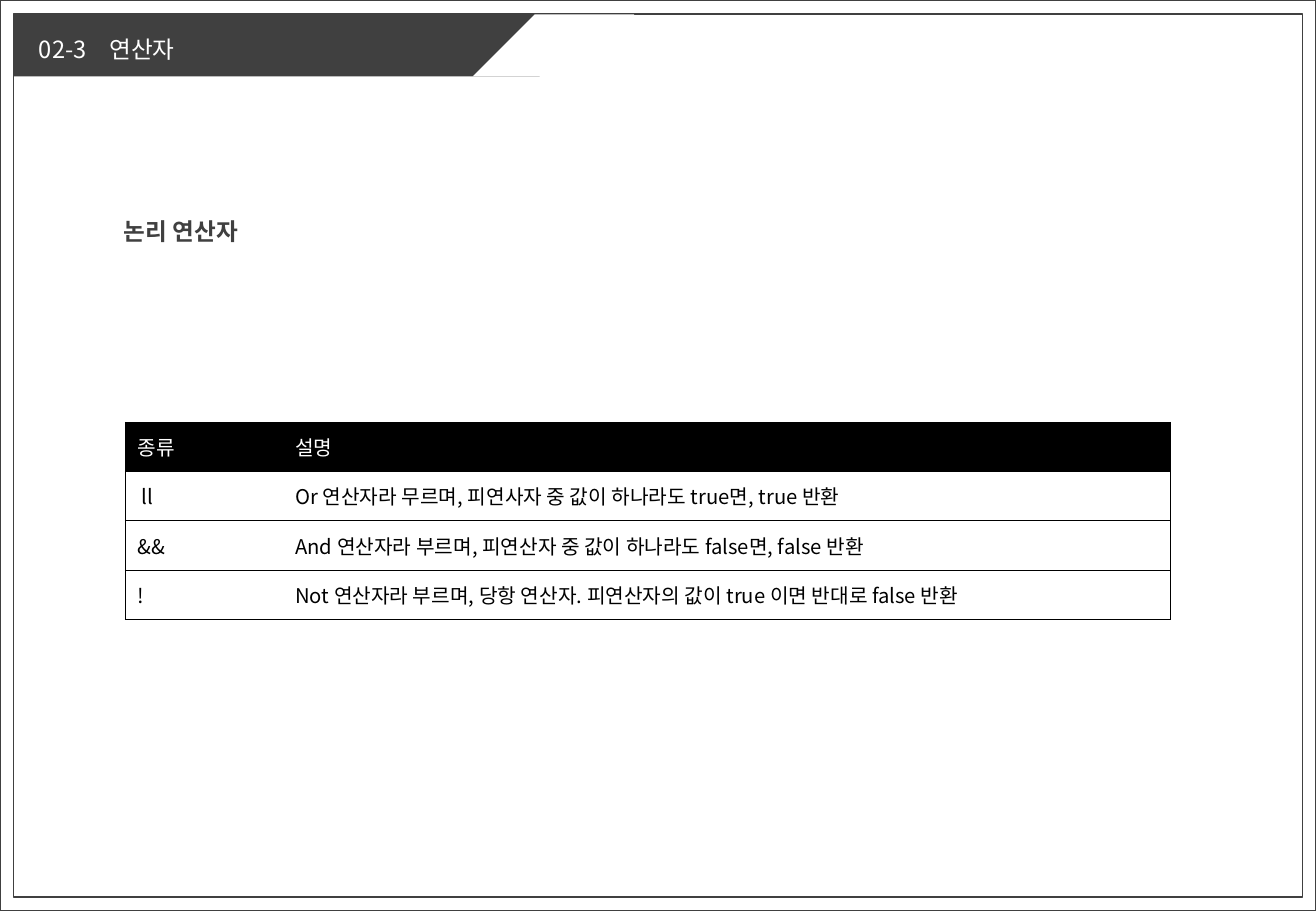
from dataclasses import dataclass
from typing import Any, Optional

import lxml.etree
import pptx
import pptx.dml.color
import pptx.enum.shapes
import pptx.enum.text
import pptx.oxml.ns
import pptx.util

Cm = pptx.util.Cm
Pt = pptx.util.Pt
qn = pptx.oxml.ns.qn
Shape = pptx.enum.shapes.MSO_SHAPE


@dataclass(frozen=True)
class Theme:
    font: str = "Noto Sans CJK KR"
    dark: str = "404040"
    black: str = "000000"
    white: str = "FFFFFF"
    title_size: int = 14
    table_size: int = 12
    frame_line: float = 1
    table_line: float = 0.5
    line_spacing: float = 1.5


@dataclass(frozen=True)
class Box:
    """A place on the slide, in centimetres."""
    left: float
    top: float
    width: float
    height: float

    def lengths(self) -> list[int]:
        return [Cm(v) for v in (self.left, self.top, self.width, self.height)]


@dataclass(frozen=True)
class Panel:
    box: Box
    fill: str
    line: Optional[str] = None
    kind: Any = Shape.RECTANGLE
    slant: Optional[float] = None


@dataclass(frozen=True)
class Label:
    text: str
    box: Box
    color: str
    bold: bool = False
    tab: Optional[float] = None


THEME = Theme()
WIDTH, HEIGHT = 27.51, 19.05
EDGE_X, EDGE_Y, BANNER_HEIGHT = 0.28, 0.3, 1.3

PANELS = [
    Panel(Box(0, 0, WIDTH, HEIGHT), THEME.white, THEME.dark),
    Panel(Box(EDGE_X, EDGE_Y, WIDTH - 2 * EDGE_X, 18.46), THEME.white, THEME.dark),
    Panel(Box(EDGE_X, EDGE_Y, 11, BANNER_HEIGHT), THEME.dark),
    Panel(Box(9.88, EDGE_Y, 3.38, BANNER_HEIGHT), THEME.white,
          kind=Shape.PARALLELOGRAM, slant=1.0),
]
TITLE = Label("02-3\t연산자", Box(0.56, EDGE_Y, 8.15, 1.14), THEME.white, tab=1.47)
HEADING = Label("논리 연산자", Box(2.34, 4.11, 6.58, 1.04), THEME.dark, bold=True)

TABLE_LEFT, TABLE_TOP = 2.62, 8.83
COLUMNS = [3.3, 18.54]
ROW_HEIGHT = 1.03
ROWS = [
    ("종류", "설명"),
    (" ll", "Or 연산자라 무르며, 피연사자 중 값이 하나라도 true면, true 반환"),
    ("&&", "And 연산자라 부르며, 피연산자 중 값이 하나라도 false면, false 반환"),
    ("!", "Not 연산자라 부르며, 당항 연산자. 피연산자의 값이 true 이면 반대로 false 반환"),
]


def rgb(color: str) -> pptx.dml.color.RGBColor:
    return pptx.dml.color.RGBColor.from_string(color)


def apply(target: Any, values: dict[str, Any]) -> None:
    for name, value in values.items():
        setattr(target, name, value)


def write(p: Any, text: str, size: float, color: str, bold: bool = False) -> None:
    r = p.add_run()
    r.text = text
    apply(r.font, {"name": THEME.font, "size": Pt(size), "bold": bold})
    r.font.color.rgb = rgb(color)
    east_asian = lxml.etree.Element(qn("a:ea"), typeface=THEME.font)
    r.font.element.find(qn("a:latin")).addnext(east_asian) if hasattr(
        r.font, "element") else r._r.rPr.find(qn("a:latin")).addnext(east_asian)


def add_panel(s: Any, panel: Panel) -> None:
    sp = s.shapes.add_shape(panel.kind, *panel.box.lengths())
    sp.shadow.inherit = False
    sp.fill.solid()
    sp.fill.fore_color.rgb = rgb(panel.fill)
    if panel.line:
        sp.line.color.rgb = rgb(panel.line)
        sp.line.width = Pt(THEME.frame_line)
    else:
        sp.line.fill.background()
    if panel.slant is not None:
        sp.adjustments[0] = panel.slant


def fill_label(sp: Any, label: Label) -> None:
    apply(sp, dict(zip(("left", "top", "width", "height"), label.box.lengths())))
    tf = sp.text_frame
    apply(tf, {
        "word_wrap": True,
        "auto_size": pptx.enum.text.MSO_AUTO_SIZE.SHAPE_TO_FIT_TEXT,
        "vertical_anchor": pptx.enum.text.MSO_ANCHOR.TOP,
    })
    p = tf.paragraphs[0]
    apply(p, {
        "alignment": pptx.enum.text.PP_ALIGN.LEFT,
        "line_spacing": THEME.line_spacing,
        "space_before": Pt(0),
    })
    write(p, label.text, THEME.title_size, label.color, label.bold)
    if label.tab is not None:
        stops = lxml.etree.SubElement(p._p.pPr, qn("a:tabLst"))
        lxml.etree.SubElement(stops, qn("a:tab"), pos=str(Cm(label.tab)), algn="l")


def set_borders(cell: Any, drawn: dict[str, bool]) -> None:
    """Draw or clear each side; call before the cell gets its fill."""
    tc_pr = cell._tc.get_or_add_tcPr()
    for side, visible in drawn.items():
        ln = lxml.etree.SubElement(tc_pr, qn(f"a:ln{side}"), w=str(Pt(THEME.table_line)))
        if visible:
            solid = lxml.etree.SubElement(ln, qn("a:solidFill"))
            lxml.etree.SubElement(solid, qn("a:srgbClr"), val=THEME.black)
        else:
            lxml.etree.SubElement(ln, qn("a:noFill"))


def add_operator_table(s: Any) -> None:
    box = Box(TABLE_LEFT, TABLE_TOP, sum(COLUMNS), ROW_HEIGHT * len(ROWS))
    table = s.shapes.add_table(len(ROWS), len(COLUMNS), *box.lengths()).table
    apply(table, {"first_row": False, "horz_banding": False})
    for column, width in zip(table.columns, COLUMNS):
        column.width = Cm(width)
    for i, texts in enumerate(ROWS):
        table.rows[i].height = Cm(ROW_HEIGHT)
        fill, color = (THEME.black, THEME.white) if i == 0 else (THEME.white, THEME.black)
        for j, text in enumerate(texts):
            cell = table.cell(i, j)
            cell.vertical_anchor = pptx.enum.text.MSO_ANCHOR.MIDDLE
            set_borders(cell, {"L": j == 0, "R": j == len(COLUMNS) - 1, "T": True, "B": True})
            cell.fill.solid()
            cell.fill.fore_color.rgb = rgb(fill)
            write(cell.text_frame.paragraphs[0], text, THEME.table_size, color)


def main() -> None:
    prs = pptx.Presentation()
    apply(prs, {"slide_width": Cm(WIDTH), "slide_height": Cm(HEIGHT)})
    s = prs.slides.add_slide(prs.slide_layouts[5])
    for panel in PANELS:
        add_panel(s, panel)
    title = s.shapes.title
    title.element.getparent().append(title.element)  # bring in front of the banner
    fill_label(title, TITLE)
    fill_label(s.shapes.add_textbox(*HEADING.box.lengths()), HEADING)
    add_operator_table(s)
    prs.save("out.pptx")


if __name__ == "__main__":
    main()
